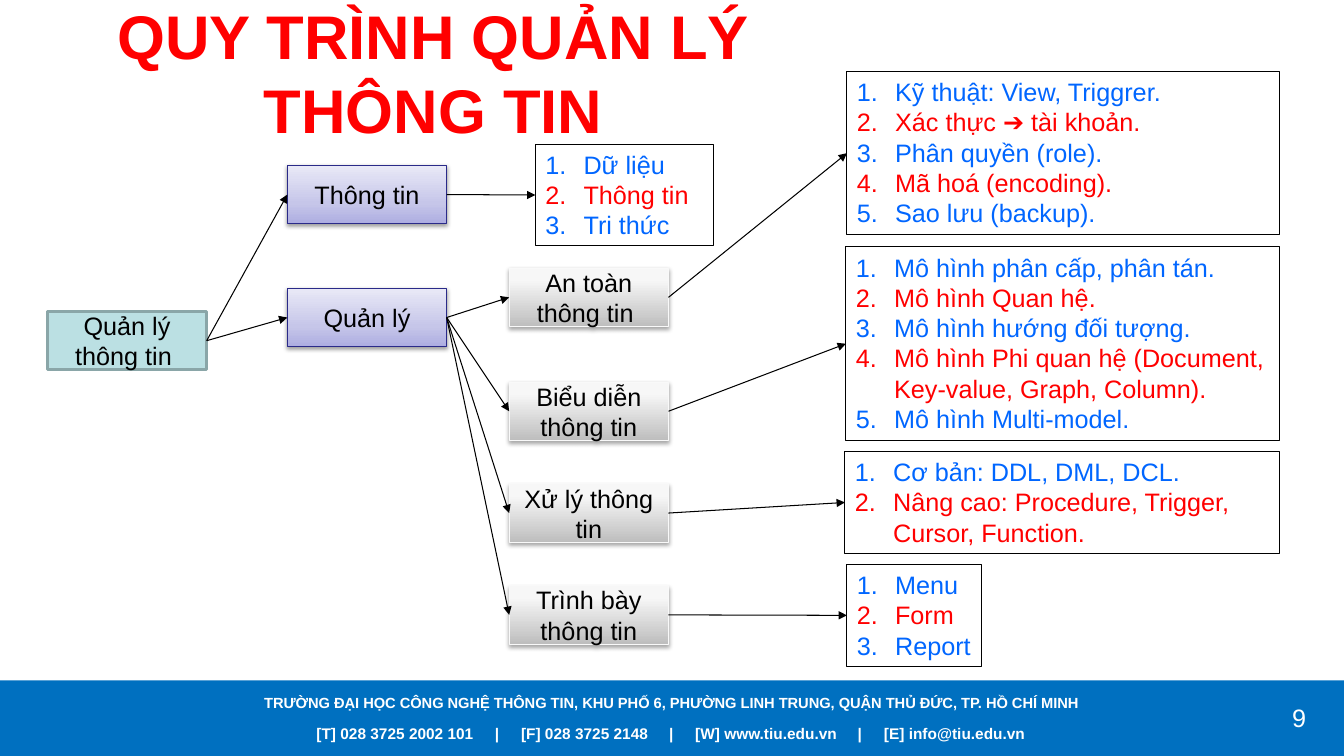
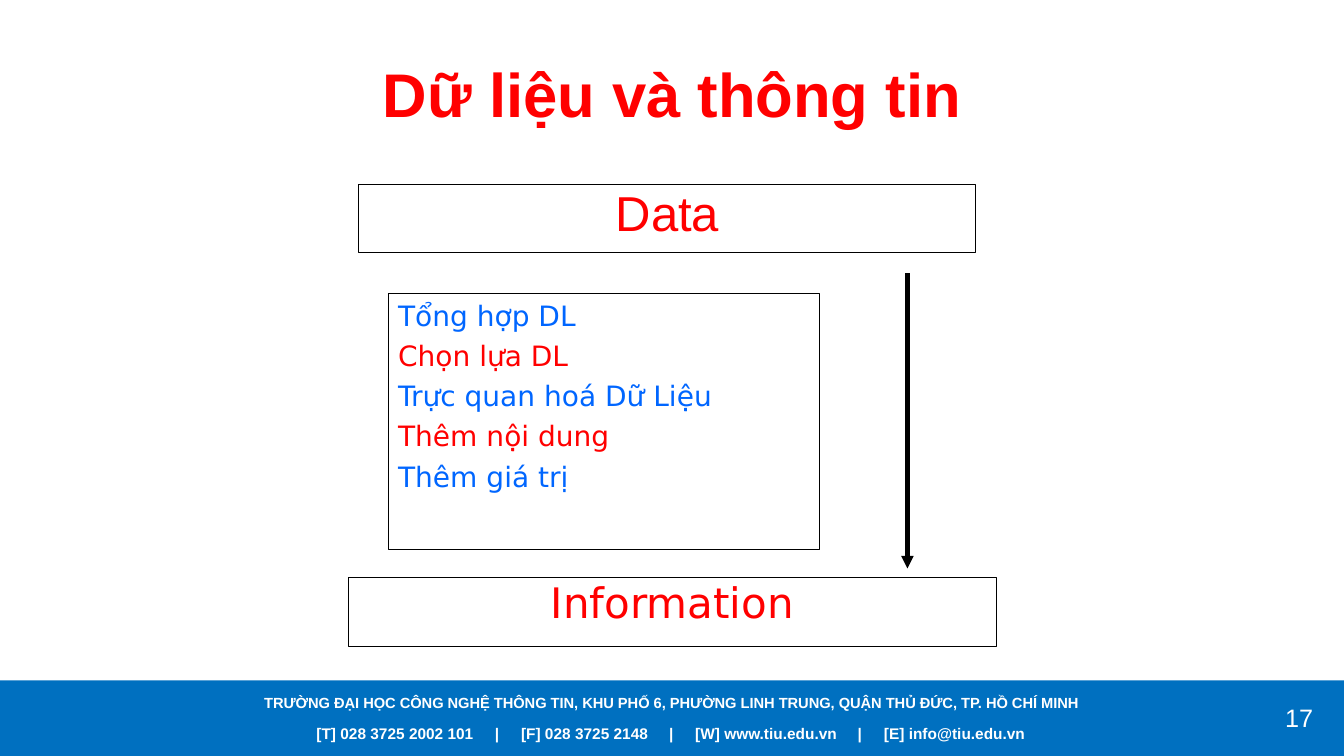
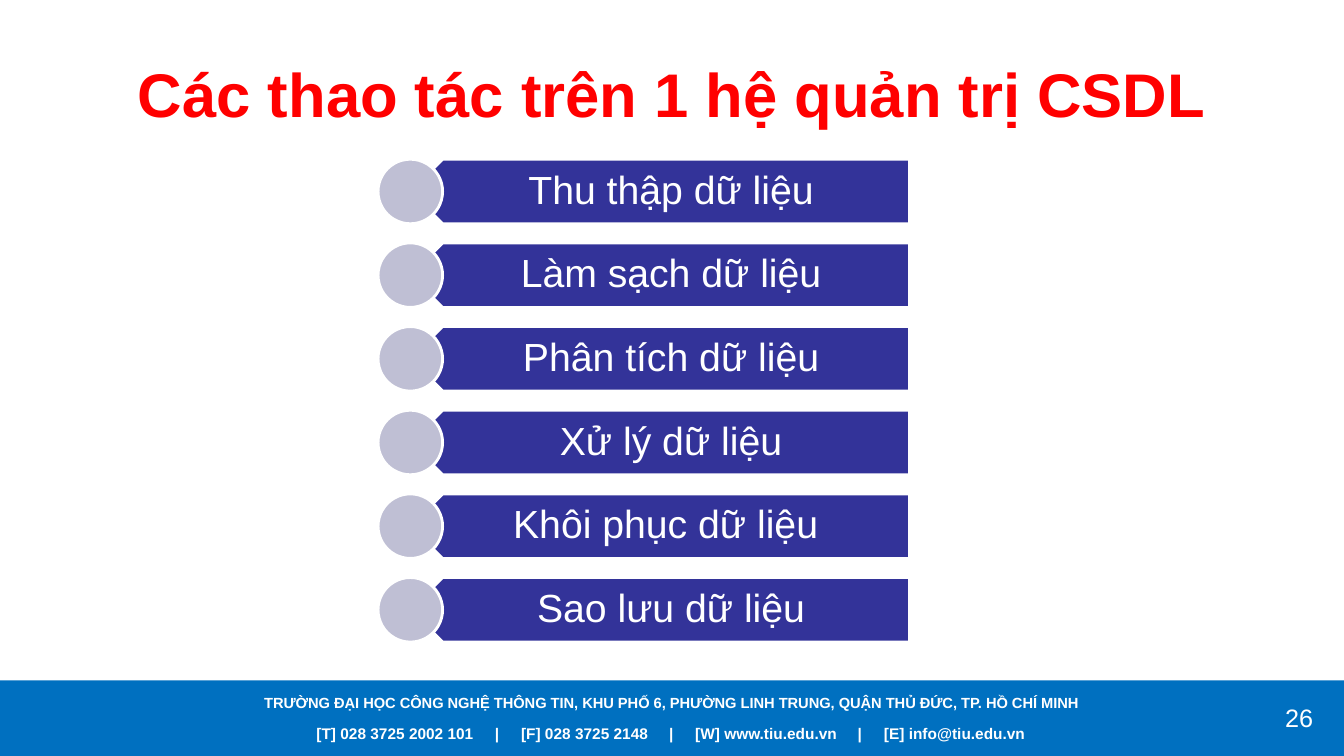
import dataclasses
import itertools
import typing

import lxml.etree
import pptx
import pptx.dml.color
import pptx.enum.shapes
import pptx.enum.text
import pptx.oxml.ns
import pptx.util

# Shared values: 100 px to the inch
SCALE = 9144
WIDE, HIGH = 1333, 750
RED, BLUE, WHITE, BLACK = "FF0000", "0066FF", "FFFFFF", "000000"
BAND, NAVY, LILAC = "0070C0", "333399", "BFBFD4"
KIND = pptx.enum.shapes.MSO_SHAPE
ALIGN = pptx.enum.text.PP_ALIGN
ANCHOR = pptx.enum.text.MSO_ANCHOR
SCHOOL = ("TRƯỜNG ĐẠI HỌC CÔNG NGHỆ THÔNG TIN, KHU PHỐ 6, PHƯỜNG LINH TRUNG, "
          "QUẬN THỦ ĐỨC, TP. HỒ CHÍ MINH")
CONTACT = ("[T] 028 3725 2002 101", "[F] 028 3725 2148",
           "[W] www.tiu.edu.vn", "[E] info@tiu.edu.vn")
TABS = (226, 327, 414, 500, 594, 687, 781)


class Rect(typing.NamedTuple):
    left: int
    top: int
    width: int
    height: int


class Shade(typing.NamedTuple):
    alpha: int
    blur: float
    dist: float


@dataclasses.dataclass(frozen=True)
class Style:
    size: float = 18
    colors: tuple[str, ...] = (BLACK,)
    bold: bool = False
    font: str = "Arial"
    align: typing.Any = ALIGN.CENTER
    anchor: typing.Any = ANCHOR.TOP
    inset: tuple[int, int, int, int] = (10, 5, 10, 5)
    lead: float = 1
    gap: float = 0
    number: bool = False
    tabs: tuple[int, ...] = ()
    wrap: bool = True


@dataclasses.dataclass(frozen=True)
class Look:
    fill: str | None = None
    stops: tuple[tuple[int, str], ...] = ()
    line: str | None = BLACK
    width: float = 0.75
    shade: Shade | None = None


@dataclasses.dataclass(frozen=True)
class Node:
    name: str
    rect: Rect
    look: Look
    lines: tuple[str, ...]
    style: Style


# Text styles
TITLE = Style(44, (RED,), True, anchor=ANCHOR.MIDDLE)
SMALL = Style(10.5, (WHITE,), True)
REACH = Style(11, (WHITE,), True, align=ALIGN.LEFT, tabs=TABS)
PAGE = Style(18, (WHITE,))
LABEL = Style(anchor=ANCHOR.MIDDLE)
ITEMS = Style(colors=(BLUE, RED), align=ALIGN.LEFT, number=True)
STEPS = Style(20, (BLUE, RED), font="DejaVu Sans", align=ALIGN.LEFT, gap=4.7)
HEAD = Style(35, (RED,), lead=0.9)
FOOT = dataclasses.replace(HEAD, size=30, font="DejaVu Sans")
TASK = Style(28, (WHITE,), anchor=ANCHOR.MIDDLE, inset=(28, 12, 22, 12), lead=0.9)

# Shape looks
FRAME = Look()
ROOT = Look("BBE0E3", line="8AA6A8", width=2)
MAIN = Look(stops=((0, "ADADE1"), (35, "C6C6E9"), (100, "E9E9F7")),
            line="2A2A89", shade=Shade(38, 3.1, 1.6))
PART = Look(stops=((0, "BEBEBE"), (80, "F7F7F7"), (100, "F8F8F8")),
            line="F9F9F9", shade=Shade(35, 3.1, 1.8))
PLATE = Look(NAVY, line=WHITE, width=2)
DISC = Look(LILAC, line=WHITE, width=2)


def px(value: float) -> int:
    return round(value * SCALE)


def paint(target: typing.Any, color: str) -> None:
    target.rgb = pptx.dml.color.RGBColor.from_string(color)


def apply(target: typing.Any, values: dict[str, typing.Any]) -> None:
    for key, value in values.items():
        setattr(target, key, value)


def child(base: typing.Any, tag: str, **attrs: typing.Any) -> typing.Any:
    return lxml.etree.SubElement(base, pptx.oxml.ns.qn("a:" + tag),
                                 {key: str(value) for key, value in attrs.items()})


def write(shape: typing.Any, lines: typing.Sequence[str], style: Style) -> None:
    frame = shape.text_frame
    sides = ("margin_left", "margin_top", "margin_right", "margin_bottom")
    apply(frame, {"word_wrap": style.wrap, "vertical_anchor": style.anchor,
                  **dict(zip(sides, map(px, style.inset)))})
    for i, (text, color) in enumerate(zip(lines, itertools.cycle(style.colors))):
        para = frame.add_paragraph() if i else frame.paragraphs[0]
        apply(para, {"alignment": style.align, "line_spacing": style.lead,
                     "space_before": pptx.util.Pt(style.gap)})
        props = para._p.get_or_add_pPr()
        if style.number:
            apply_indent = {"marL": px(38), "indent": px(-38)}
            for key, value in apply_indent.items():
                props.set(key, str(value))
            child(props, "buFont", typeface="+mj-lt")
            child(props, "buAutoNum", type="arabicPeriod")
        if style.tabs:
            stops = child(props, "tabLst")
            for tab in style.tabs:
                child(stops, "tab", pos=px(tab), algn="ctr")
        run = para.add_run()
        run.text = text
        apply(run.font, {"size": pptx.util.Pt(style.size), "bold": style.bold,
                         "name": style.font})
        paint(run.font.color, color)


def label(slide: typing.Any, rect: Rect, text: str, style: Style) -> None:
    write(slide.shapes.add_textbox(*map(px, rect)), (text,), style)


def draw(slide: typing.Any, rect: Rect, look: Look,
         kind: typing.Any = KIND.RECTANGLE) -> typing.Any:
    shape = slide.shapes.add_shape(kind, *map(px, rect))
    shape.shadow.inherit = False
    if look.stops:
        shape.fill.gradient()
        shape.fill.gradient_angle = 90
        stops = shape._element.spPr.find(".//" + pptx.oxml.ns.qn("a:gsLst"))
        for old in list(stops):
            stops.remove(old)
        for place, color in look.stops:
            child(child(stops, "gs", pos=place * 1000), "srgbClr", val=color)
    elif look.fill:
        shape.fill.solid()
        paint(shape.fill.fore_color, look.fill)
    else:
        shape.fill.background()
    if look.line:
        paint(shape.line.color, look.line)
        shape.line.width = pptx.util.Pt(look.width)
    else:
        shape.line.fill.background()
    if look.shade:
        glow = shape._element.spPr.find(pptx.oxml.ns.qn("a:effectLst"))
        cast = child(glow, "outerShdw", blurRad=pptx.util.Pt(look.shade.blur),
                     dist=pptx.util.Pt(look.shade.dist), dir=90 * 60000, rotWithShape=0)
        child(child(cast, "srgbClr", val=BLACK), "alpha", val=look.shade.alpha * 1000)
    return shape


def arrow(slide: typing.Any, start: tuple[int, int] = (0, 0),
          end: tuple[int, int] = (0, 0), width: float = 0.75) -> typing.Any:
    line = slide.shapes.add_connector(pptx.enum.shapes.MSO_CONNECTOR.STRAIGHT,
                                      *map(px, (*start, *end)))
    paint(line.line.color, BLACK)
    line.line.width = pptx.util.Pt(width)
    child(line.line._get_or_add_ln(), "tailEnd", type="triangle")
    child(line._element.spPr, "effectLst")
    return line


def start(deck: typing.Any, title: str, page: int,
          rect: Rect = Rect(67, 30, 1200, 125)) -> typing.Any:
    """Add a slide with its footer band and title."""
    slide = deck.slides.add_slide(deck.slide_layouts[6])
    draw(slide, Rect(0, 675, WIDE, 75), Look(BAND, line=None))
    label(slide, Rect(0, 683, WIDE, 28), SCHOOL, SMALL)
    label(slide, Rect(156, 713, 1022, 29), "\t" + "\t|\t".join(CONTACT), REACH)
    label(slide, Rect(1244, 692, 89, 40), str(page), PAGE)
    label(slide, rect, title, TITLE)
    return slide


# Parts of the process diagram
def block(name: str, left: int, top: int, look: Look, text: str) -> Node:
    return Node(name, Rect(left, top, 158, 58), look, (text,), LABEL)


def listing(name: str, rect: Rect, *lines: str, wrap: bool = True) -> Node:
    return Node(name, rect, FRAME, lines, dataclasses.replace(ITEMS, wrap=wrap))


NODES = (
    block("root", 47, 309, ROOT, "Quản lý thông tin "),
    block("info", 285, 164, MAIN, "Thông tin"),
    block("manage", 285, 286, MAIN, "Quản lý"),
    block("safe", 505, 266, PART, "An toàn thông tin "),
    block("model", 505, 379, PART, "Biểu diễn thông tin"),
    block("process", 505, 480, PART, "Xử lý thông tin"),
    block("present", 505, 581, PART, "Trình bày thông tin"),
    listing("safe list", Rect(840, 71, 429, 162), "Kỹ thuật: View, Triggrer.",
            "Xác thực ➔ tài khoản.", "Phân quyền (role).", "Mã hoá (encoding).",
            "Sao lưu (backup)."),
    listing("info list", Rect(531, 143, 177, 101), "Dữ liệu", "Thông tin", "Tri thức"),
    listing("model list", Rect(839, 245, 430, 192), "Mô hình phân cấp, phân tán.",
            "Mô hình Quan hệ.", "Mô hình hướng đối tượng.",
            "Mô hình Phi quan hệ (Document, Key-value, Graph, Column).",
            "Mô hình Multi-model."),
    listing("present list", Rect(840, 560, 134, 101), "Menu", "Form", "Report", wrap=False),
    listing("process list", Rect(838, 448, 431, 101), "Cơ bản: DDL, DML, DCL.",
            "Nâng cao: Procedure, Trigger, Cursor, Function."),
)
PARTS = ("safe", "model", "process", "present")
LINKS = (
    ("root", "info"), ("root", "manage"), ("info", "info list"),
    *(("manage", part) for part in PARTS),
    *((part, part + " list") for part in PARTS),
)
TASKS = ("Thu thập dữ liệu", "Làm sạch dữ liệu", "Phân tích dữ liệu",
         "Xử lý dữ liệu", "Khôi phục dữ liệu ", "Sao lưu dữ liệu")


def flow(deck: typing.Any) -> None:
    slide = start(deck, "QUY TRÌNH QUẢN LÝ THÔNG TIN", 9, Rect(17, 22, 826, 98))
    shapes = {}
    for node in NODES:
        shapes[node.name] = draw(slide, node.rect, node.look)
        write(shapes[node.name], node.lines, node.style)
    for source, goal in LINKS:
        line = arrow(slide)
        line.begin_connect(shapes[source], 3)
        line.end_connect(shapes[goal], 1)


def data(deck: typing.Any) -> None:
    slide = start(deck, "Dữ liệu và thông tin", 17)
    boxes = (
        (Rect(356, 183, 612, 68), ("Data",), HEAD),
        (Rect(346, 573, 642, 68), ("Information",), FOOT),
        (Rect(385, 291, 428, 254),
         ("Tổng hợp DL", "Chọn lựa DL", "Trực quan hoá Dữ Liệu",
          "Thêm nội dung", "Thêm giá trị"), STEPS),
    )
    for rect, lines, style in boxes:
        write(draw(slide, rect, FRAME), lines, style)
    arrow(slide, (900, 271), (900, 564), 3)


def tasks(deck: typing.Any) -> None:
    slide = start(deck, "Các thao tác trên 1 hệ quản trị CSDL", 26)
    for i, text in enumerate(TASKS):
        top = 158 + 83 * i
        draw(slide, Rect(407, top, 495, 64), PLATE, KIND.PENTAGON).rotation = 180
        label(slide, Rect(423, top, 479, 64), text, TASK)
        draw(slide, Rect(375, top, 64, 64), DISC, KIND.OVAL)


def main() -> None:
    deck = pptx.Presentation()
    apply(deck, {"slide_width": px(WIDE), "slide_height": px(HIGH)})
    for build in (flow, data, tasks):
        build(deck)
    deck.save("out.pptx")


if __name__ == "__main__":
    main()
